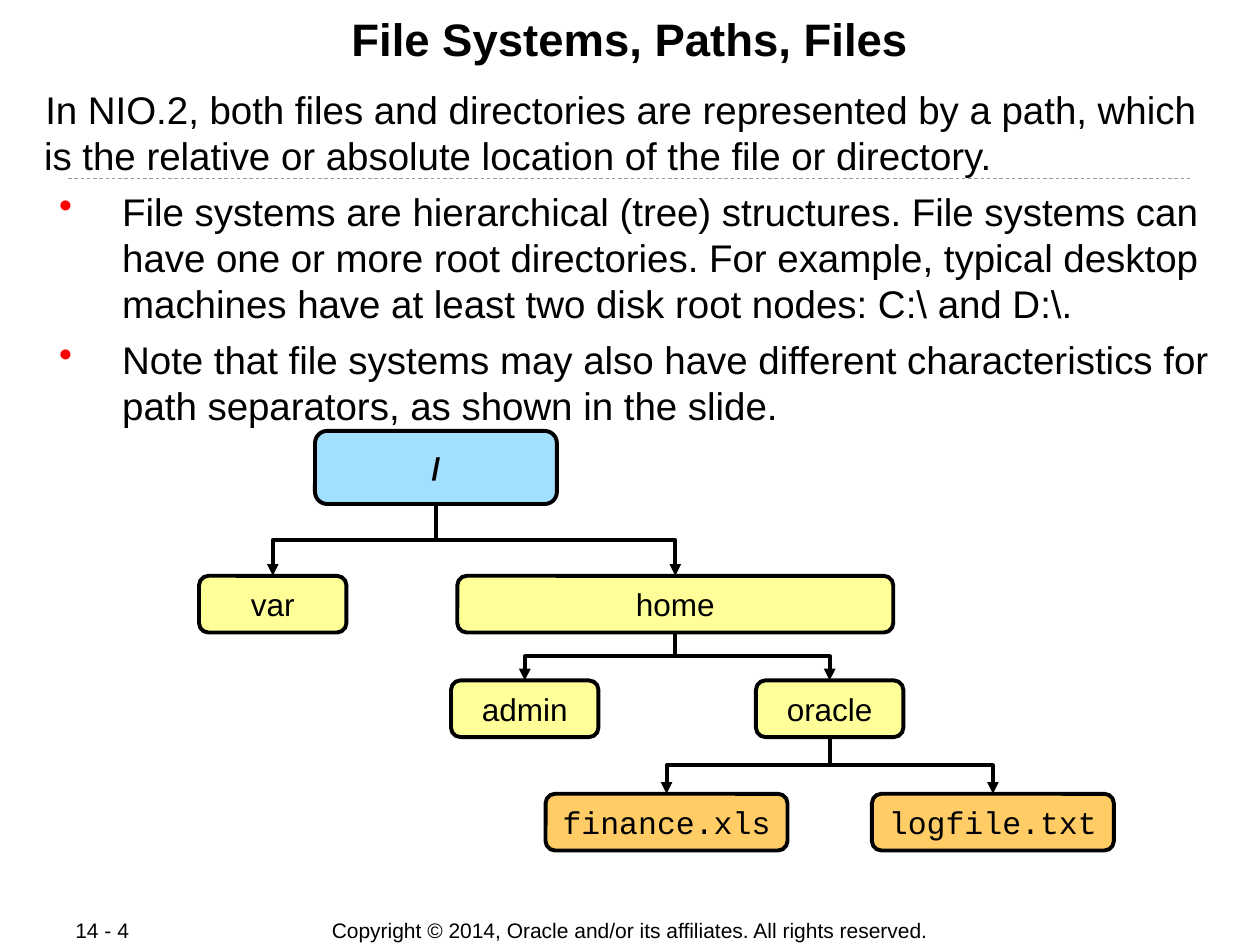
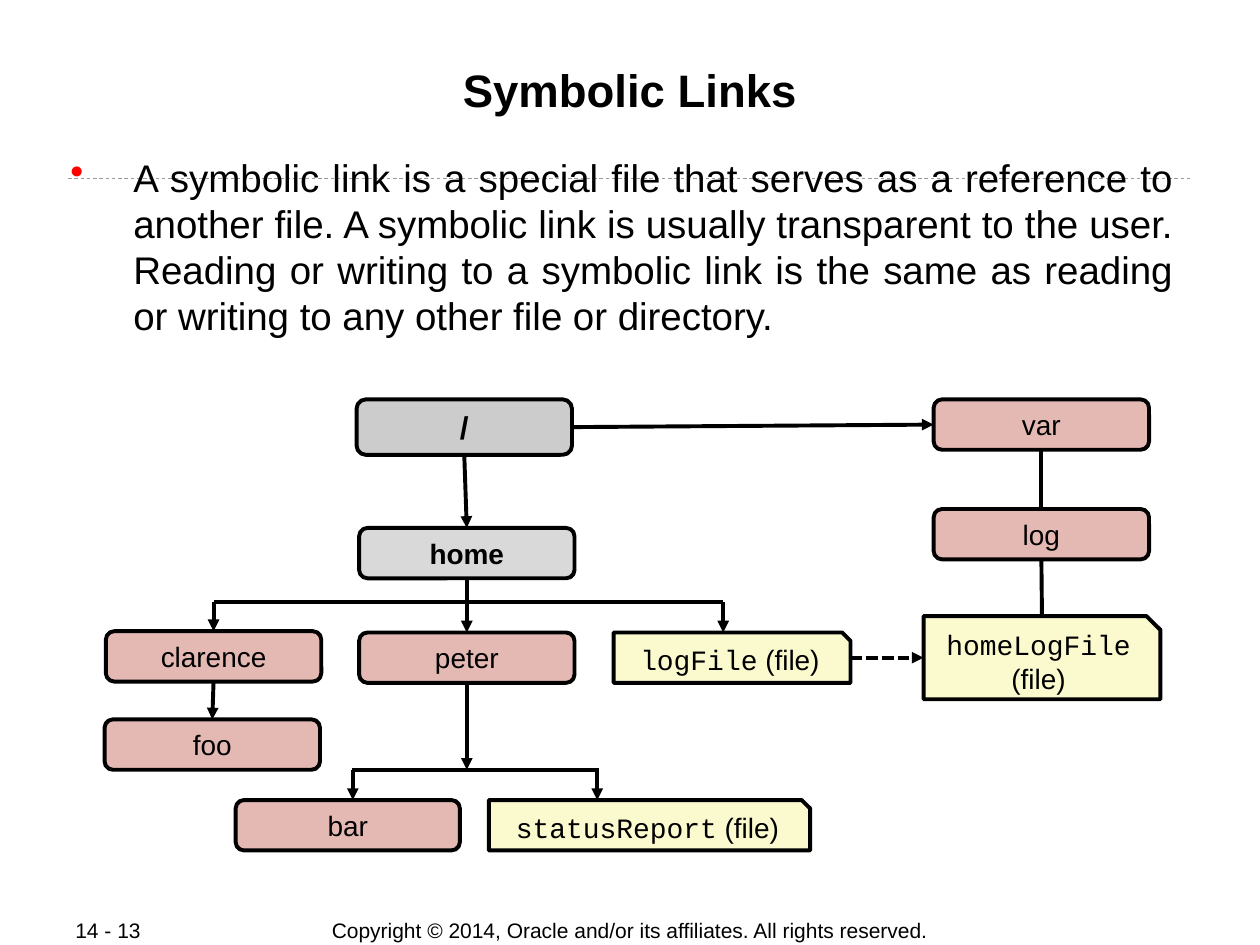
from lxml.etree import SubElement
from pptx import Presentation
from pptx.dml.color import RGBColor
from pptx.enum.dml import MSO_LINE
from pptx.enum.shapes import MSO_CONNECTOR, MSO_SHAPE
from pptx.enum.text import MSO_ANCHOR, PP_ALIGN
from pptx.oxml.ns import qn
from pptx.shapes.autoshape import Shape
from pptx.util import Inches, Pt

BLACK = RGBColor(0x00, 0x00, 0x00)
RED = RGBColor(0xFF, 0x00, 0x00)
RULE_GREY = RGBColor(0x99, 0x99, 0x99)
ROOT_BLUE = RGBColor(0xA3, 0xE0, 0xFF)
DIR_YELLOW = RGBColor(0xFF, 0xFF, 0x99)
FILE_ORANGE = RGBColor(0xFF, 0xCC, 0x66)
ROOT_GREY = RGBColor(0xCC, 0xCC, 0xCC)
HOME_GREY = RGBColor(0xD9, 0xD9, 0xD9)
DIR_PINK = RGBColor(0xE4, 0xB9, 0xB4)
NOTE_CREAM = RGBColor(0xFB, 0xFA, 0xCE)

SANS, MONO = "Arial", "Courier New"
TOP, LEFT, BOTTOM, RIGHT = range(4)
COPYRIGHT = "Copyright © 2014, Oracle and/or its affiliates. All rights reserved."


def set_all(obj, **values):
    """Set each named attribute of an object."""
    for name, value in values.items():
        setattr(obj, name, value)


def add_run(p, text, size, font=SANS, bold=False):
    """Append a formatted black run to a paragraph."""
    r = p.add_run()
    r.text = text
    set_all(r.font, name=font, size=Pt(size), bold=bold)
    r.font.color.rgb = BLACK


def set_frame(tf, side, top, anchor=MSO_ANCHOR.TOP):
    """Set the insets, anchor and wrapping of a text frame."""
    set_all(tf, margin_left=Inches(side), margin_right=Inches(side),
            margin_top=Inches(top), margin_bottom=Inches(top),
            vertical_anchor=anchor, word_wrap=True)


def add_text(s, box, **frame):
    """Add a text box and return its frame."""
    tf = s.shapes.add_textbox(*map(Inches, box)).text_frame
    set_frame(tf, **frame)
    return tf


def set_indent(p, left, first):
    """Set the left margin and first-line indent of a paragraph."""
    pPr = p._p.get_or_add_pPr()
    pPr.set("marL", str(Inches(left)))
    pPr.set("indent", str(Inches(first)))
    return pPr


def add_bullet(p):
    """Give a paragraph a red bullet with a hanging indent."""
    p.level = 1
    pPr = set_indent(p, 0.63, -0.5)
    clr = SubElement(pPr, qn("a:buClr"))
    SubElement(clr, qn("a:srgbClr")).set("val", str(RED))
    SubElement(pPr, qn("a:buChar")).set("char", "•")


def style_line(c, color=BLACK, width=2.25, dash=None, arrow=True):
    """Format a connector and remove its shadow."""
    c.line.color.rgb = color
    c.line.width = Pt(width)
    if dash:
        c.line.dash_style = dash
    spPr = c._element.spPr
    if arrow:
        SubElement(spPr.find(qn("a:ln")), qn("a:tailEnd")).set("type", "triangle")
    SubElement(spPr, qn("a:effectLst"))


def side_point(sp, site):
    """Return the middle of a side of a shape."""
    mid_x, mid_y = sp.left + sp.width // 2, sp.top + sp.height // 2
    return {TOP: (mid_x, sp.top), LEFT: (sp.left, mid_y),
            BOTTOM: (mid_x, sp.top + sp.height),
            RIGHT: (sp.left + sp.width, mid_y)}[site]


def link(s, start, end, **style):
    """Draw a straight line between points or (shape, side) pairs."""
    ends = [side_point(*e) if isinstance(e[0], Shape) else e for e in (start, end)]
    c = s.shapes.add_connector(MSO_CONNECTOR.STRAIGHT, *ends[0], *ends[1])
    for e, join in ((start, c.begin_connect), (end, c.end_connect)):
        if (isinstance(e[0], Shape)
                and e[0].auto_shape_type == MSO_SHAPE.ROUNDED_RECTANGLE):
            join(*e)
    style_line(c, **style)


def branch(s, parent, child):
    """Draw an elbow arrow from a parent's bottom to a child's top."""
    (x1, y1), (x2, y2) = side_point(parent, BOTTOM), side_point(child, TOP)
    c = s.shapes.add_connector(MSO_CONNECTOR.ELBOW, x1, y1, x2, y2)
    c.begin_connect(parent, BOTTOM)
    c.end_connect(child, TOP)
    run, rise = abs(x2 - x1), y2 - y1
    set_all(c, left=(x1 + x2 - rise) // 2, top=(y1 + y2 - run) // 2,
            width=rise, height=run)
    right = x2 > x1
    set_all(c._element.spPr.xfrm, rot=270 if right else 90, flipH=right, flipV=False)
    style_line(c)


def add_node(s, origin, box, lines, fill, size=16, bold=False,
             kind=MSO_SHAPE.ROUNDED_RECTANGLE):
    """Add a labelled node whose box is relative to the origin."""
    x, y, w, h = box
    sp = s.shapes.add_shape(kind, Inches(origin[0] + x), Inches(origin[1] + y),
                            Inches(w), Inches(h))
    sp.shadow.inherit = False
    sp.fill.solid()
    sp.fill.fore_color.rgb = fill
    sp.line.color.rgb = BLACK
    sp.line.width = Pt(2.25)
    tf = sp.text_frame
    set_frame(tf, 0.1, 0.05, MSO_ANCHOR.MIDDLE)
    for i, runs in enumerate(lines):
        p = tf.add_paragraph() if i else tf.paragraphs[0]
        p.alignment = PP_ALIGN.CENTER
        for text, font in runs:
            add_run(p, text, size, font, bold)
    return sp


def add_base(prs, title, title_box, number):
    """Add a slide with its title, dashed rule and footer."""
    s = prs.slides.add_slide(prs.slide_layouts[5])
    c = s.shapes.add_connector(MSO_CONNECTOR.STRAIGHT, *map(Inches, (0.54, 1.42, 9.46, 1.42)))
    style_line(c, RULE_GREY, 0.5, MSO_LINE.DASH, arrow=False)
    footers = (((2.4, 7.28, 5.2, 0.21), COPYRIGHT, PP_ALIGN.CENTER),
               ((0.5, 7.28, 1.06, 0.2), number, PP_ALIGN.LEFT))
    for box, text, align in footers:
        tf = add_text(s, box, side=0.1, top=0.05, anchor=MSO_ANCHOR.MIDDLE)
        tf.paragraphs[0].alignment = align
        add_run(tf.paragraphs[0], text, 12)
    sp = s.shapes.title
    set_all(sp, **dict(zip(("left", "top", "width", "height"), map(Inches, title_box))))
    set_frame(sp.text_frame, 0.01, 0.01)
    p = sp.text_frame.paragraphs[0]
    set_all(p, alignment=PP_ALIGN.CENTER, space_before=Pt(0))
    add_run(p, title, 26, bold=True)
    return s


def add_body(s, box, bullets, intro=None, align=PP_ALIGN.LEFT, **frame):
    """Add an optional opening paragraph followed by bullets."""
    tf = add_text(s, box, **frame)
    texts = ([intro] if intro else []) + bullets
    for i, text in enumerate(texts):
        p = tf.add_paragraph() if i else tf.paragraphs[0]
        set_all(p, alignment=align, space_before=Pt(5.5 if i else 0))
        if text == intro:
            set_indent(p, 0.01, 0.01)
        else:
            add_bullet(p)
        add_run(p, text, 22)


def add_file_tree(s, origin):
    """Draw the directory tree with elbow arrows."""
    nodes = {}
    for name, box, fill, font in (
            ("/", (0.92, 0, 1.92, 0.58), ROOT_BLUE, SANS),
            ("var", (0, 1.15, 1.17, 0.45), DIR_YELLOW, SANS),
            ("home", (2.05, 1.15, 3.46, 0.45), DIR_YELLOW, SANS),
            ("admin", (2, 1.98, 1.17, 0.45), DIR_YELLOW, SANS),
            ("oracle", (4.42, 1.98, 1.17, 0.45), DIR_YELLOW, SANS),
            ("finance.xls", (2.75, 2.88, 1.92, 0.45), FILE_ORANGE, MONO),
            ("logfile.txt", (5.34, 2.88, 1.92, 0.45), FILE_ORANGE, MONO)):
        nodes[name] = add_node(s, origin, box, [[(name, font)]], fill, 18, name == "/")
    children = {"/": ("var", "home"), "home": ("admin", "oracle"),
                "oracle": ("finance.xls", "logfile.txt")}
    for parent, names in children.items():
        for name in names:
            branch(s, nodes[parent], nodes[name])


def add_link_tree(s, origin):
    """Draw the directory tree that holds a symbolic link."""
    w, h = 1.71, 0.4
    root = add_node(s, origin, (2, 0, w, 0.44), [[("/", SANS)]], ROOT_GREY, 18, True)
    home = add_node(s, origin, (2.02, 1.02, w, h), [[("home", SANS)]], HOME_GREY, bold=True)
    clarence, peter, foo, bar, log, var = (
        add_node(s, origin, (x, y, width, h), [[(name, SANS)]], DIR_PINK)
        for name, x, y, width in (
            ("clarence", 0.01, 1.84, w), ("peter", 2.02, 1.85, w),
            ("foo", 0, 2.54, w), ("bar", 1.04, 3.18, 1.78),
            ("log", 6.58, 0.87, w), ("var", 6.58, 0, w)))
    log_file, report, home_log = (
        add_node(s, origin, box, lines, NOTE_CREAM, kind=MSO_SHAPE.SNIP_1_RECTANGLE)
        for box, lines in (
            ((4.04, 1.85, 1.88, h), [[("logFile", MONO), (" (file)", SANS)]]),
            ((3.05, 3.18, 2.55, h), [[("statusReport", MONO), (" (file)", SANS)]]),
            ((6.5, 1.72, 1.88, 0.66), [[("homeLogFile", MONO)], [("(file)", SANS)]])))

    def at(x, y):
        """Return a point relative to the origin."""
        return Inches(origin[0] + x), Inches(origin[1] + y)

    for start, end in ((root, home), (home, peter), (clarence, foo)):
        link(s, (start, BOTTOM), (end, TOP))
    link(s, (root, RIGHT), (var, LEFT))
    for start, end in ((var, log), (log, home_log)):
        link(s, (start, BOTTOM), (end, TOP), arrow=False)
    link(s, (log_file, RIGHT), (home_log, LEFT), dash=MSO_LINE.SQUARE_DOT)

    bus_start = side_point(clarence, TOP)[0], at(0, 1.61)[1]
    bus_end = at(4.91, 1.61)
    link(s, bus_start, bus_end, arrow=False)
    link(s, bus_start, (clarence, TOP))
    link(s, bus_end, at(4.91, 1.85))

    link(s, (peter, BOTTOM), (side_point(peter, BOTTOM)[0], at(0, 2.94)[1]))
    link(s, at(1.96, 2.94), at(3.92, 2.94), arrow=False)
    for x in (1.97, 3.91):
        link(s, at(x, 2.94), at(x, 3.18))


def main():
    """Build both slides and save the presentation."""
    prs = Presentation()
    prs.slide_width, prs.slide_height = Inches(10), Inches(7.5)

    s = add_base(prs, "File Systems, Paths, Files", (0.67, 0.08, 8.66, 0.44), "14 - 4")
    add_body(s, (0.33, 0.67, 9.42, 3.58), [
        "File systems are hierarchical (tree) structures. File systems can have one or "
        "more root directories. For example, typical desktop machines have at least two "
        "disk root nodes: C:\\ and D:\\.",
        "Note that file systems may also have different characteristics for path "
        "separators, as shown in the slide."],
        intro="In NIO.2, both files and directories are represented by a path, which is "
              "the relative or absolute location of the file or directory.",
        side=0.01, top=0.01)
    add_file_tree(s, (1.58, 3.42))

    s = add_base(prs, "Symbolic Links", (0.67, 0.48, 8.66, 0.96), "14 - 13")
    add_link_tree(s, (0.83, 3.17))
    add_body(s, (0.33, 1.17, 9.08, 1.57), [
        "A symbolic link is a special file that serves as a reference to another file. "
        "A symbolic link is usually transparent to the user. Reading or writing to a "
        "symbolic link is the same as reading or writing to any other file or directory."],
        align=PP_ALIGN.JUSTIFY, side=0.1, top=0.05)

    prs.save("out.pptx")


if __name__ == "__main__":
    main()
